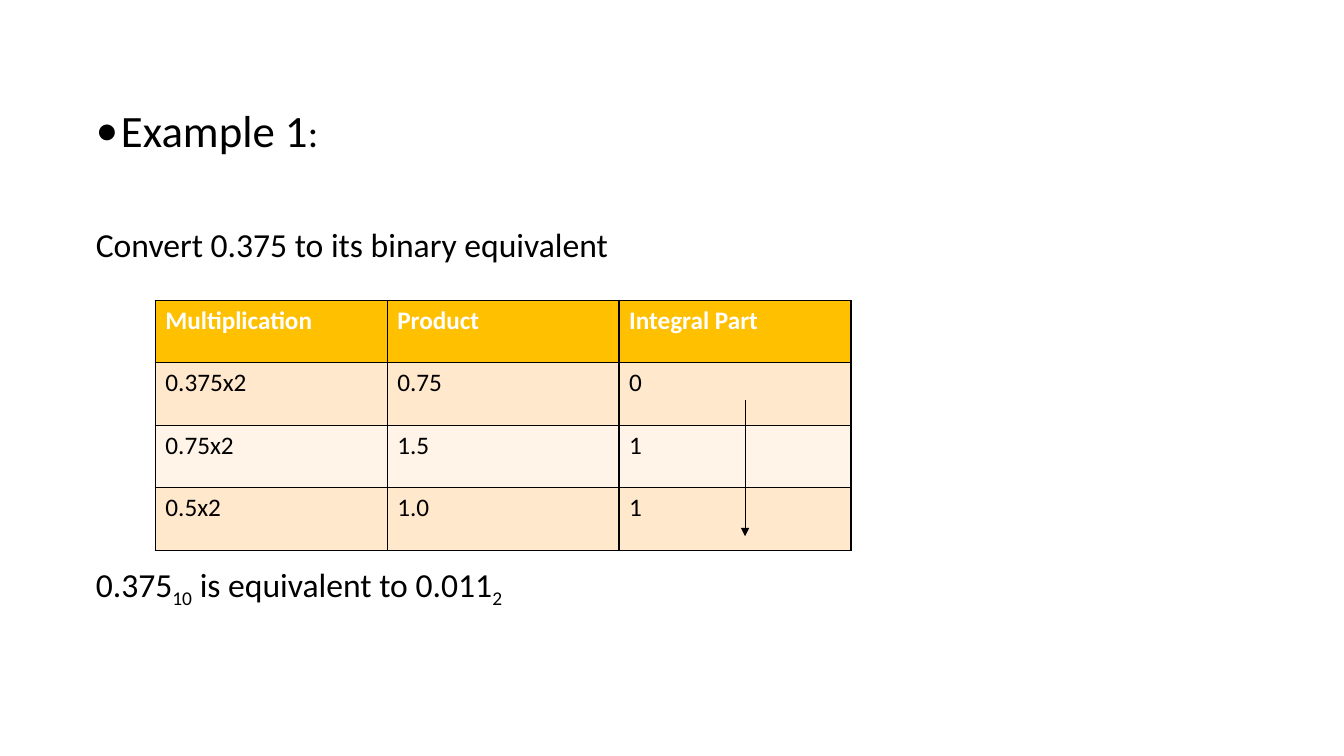
from lxml import etree
from pptx import Presentation
from pptx import util as u
from pptx.dml.color import RGBColor
from pptx.enum import shapes, text
from pptx.oxml.ns import qn

PX = 9144
INK, GOLD = "000000", "FFC000"
BANDS = ["FFE8CC", "FFF4E7"]
BODY = [
    (10, True, [("Example 1", 32, 0), (":", 28, 0)]),
    (51, False, [("Convert 0.375 to its binary equivalent", 24, 0)]),
    (214, False, [("0.375", 24, 0), ("10", 24, -25000),
                  (" is equivalent to 0.011", 24, 0), ("2", 24, -25000)]),
]
ROWS = [
    ["Multiplication", "Product", "Integral Part"],
    ["0.375x2", "0.75", "0"],
    ["0.75x2", "1.5", "1"],
    ["0.5x2", "1.0", "1"],
]


def px(*vals):
    """Turn px lengths into EMU."""
    return [u.Emu(v * PX) for v in vals]


def paint(part, tint):
    """Give a fill a solid colour."""
    part.solid()
    part.fore_color.rgb = RGBColor.from_string(tint)


def style(item, **vals):
    """Set attributes from format values."""
    for name, val in vals.items():
        setattr(item, name, val)


def write(para, words, size, tint=INK, bold=False):
    """Add a run of formatted words and return it."""
    run = para.add_run()
    run.text = words
    style(run.font, name="Calibri", size=u.Pt(size), bold=bold)
    paint(run.font.fill, tint)
    return run


def bullet(para, shown):
    """Switch the bullet of a paragraph on or off."""
    ppr = para._p.get_or_add_pPr()
    gap = 25 * PX if shown else 0
    ppr.set("marL", str(gap))
    ppr.set("indent", str(-gap))
    if shown:
        etree.SubElement(ppr, qn("a:buFont"), typeface="Calibri")
        etree.SubElement(ppr, qn("a:buChar"), char="•")
    else:
        etree.SubElement(ppr, qn("a:buNone"))


def prose(hold, box):
    """Fill the body placeholder with the worked example."""
    left, top, width, height = px(*box)
    style(hold, left=left, top=top, width=width, height=height)
    frame = hold.text_frame
    style(frame, word_wrap=True, auto_size=text.MSO_AUTO_SIZE.NONE,
          vertical_anchor=text.MSO_ANCHOR.TOP)
    for i, (gap, mark, runs) in enumerate(BODY):
        para = frame.add_paragraph() if i else frame.paragraphs[0]
        style(para, line_spacing=0.9, space_before=u.Pt(gap))
        bullet(para, mark)
        for words, size, base in runs:
            run = write(para, words, size)
            if base:
                run._r.get_or_add_rPr().set("baseline", str(base))


def edge(cell):
    """Draw thin borders on all sides of a cell."""
    props = cell._tc.get_or_add_tcPr()
    for i, side in enumerate("LRTB"):
        line = etree.Element(qn("a:ln" + side), w=str(u.Pt(1)))
        fill = etree.SubElement(line, qn("a:solidFill"))
        etree.SubElement(fill, qn("a:srgbClr"), val=INK)
        props.insert(i, line)


def steps(slide, box):
    """Place the table of multiplication steps."""
    grid = slide.shapes.add_table(len(ROWS), len(ROWS[0]), *px(*box)).table
    for r, row in enumerate(ROWS):
        for c, words in enumerate(row):
            cell = grid.cell(r, c)
            paint(cell.fill, BANDS[(r - 1) % 2] if r else GOLD)
            edge(cell)
            write(cell.text_frame.paragraphs[0], words, 18,
                  INK if r else "FFFFFF", not r)


def arrow(slide, box):
    """Point down the integral parts, within the table box."""
    left, top, width, height = box
    x = left + 585
    line = slide.shapes.add_connector(
        shapes.MSO_CONNECTOR.STRAIGHT,
        *px(x, top + 99, x, top + height - 14))
    line.line.width = u.Pt(0.5)
    paint(line.line.fill, INK)
    etree.SubElement(line.line._get_or_add_ln(), qn("a:tailEnd"), type="triangle")
    etree.SubElement(line._element.spPr, qn("a:effectLst"))


def main():
    """Build and save the slide."""
    deck = Presentation()
    deck.slide_width, deck.slide_height = px(1333, 750)
    slide = deck.slides.add_slide(deck.slide_layouts[1])
    title = slide.shapes.title._element
    title.getparent().remove(title)
    prose(slide.placeholders[1], (85, 103, 1024, 564))
    box = (154, 298, 690, 248)
    steps(slide, box)
    arrow(slide, box)
    deck.save("out.pptx")


if __name__ == "__main__":
    main()
